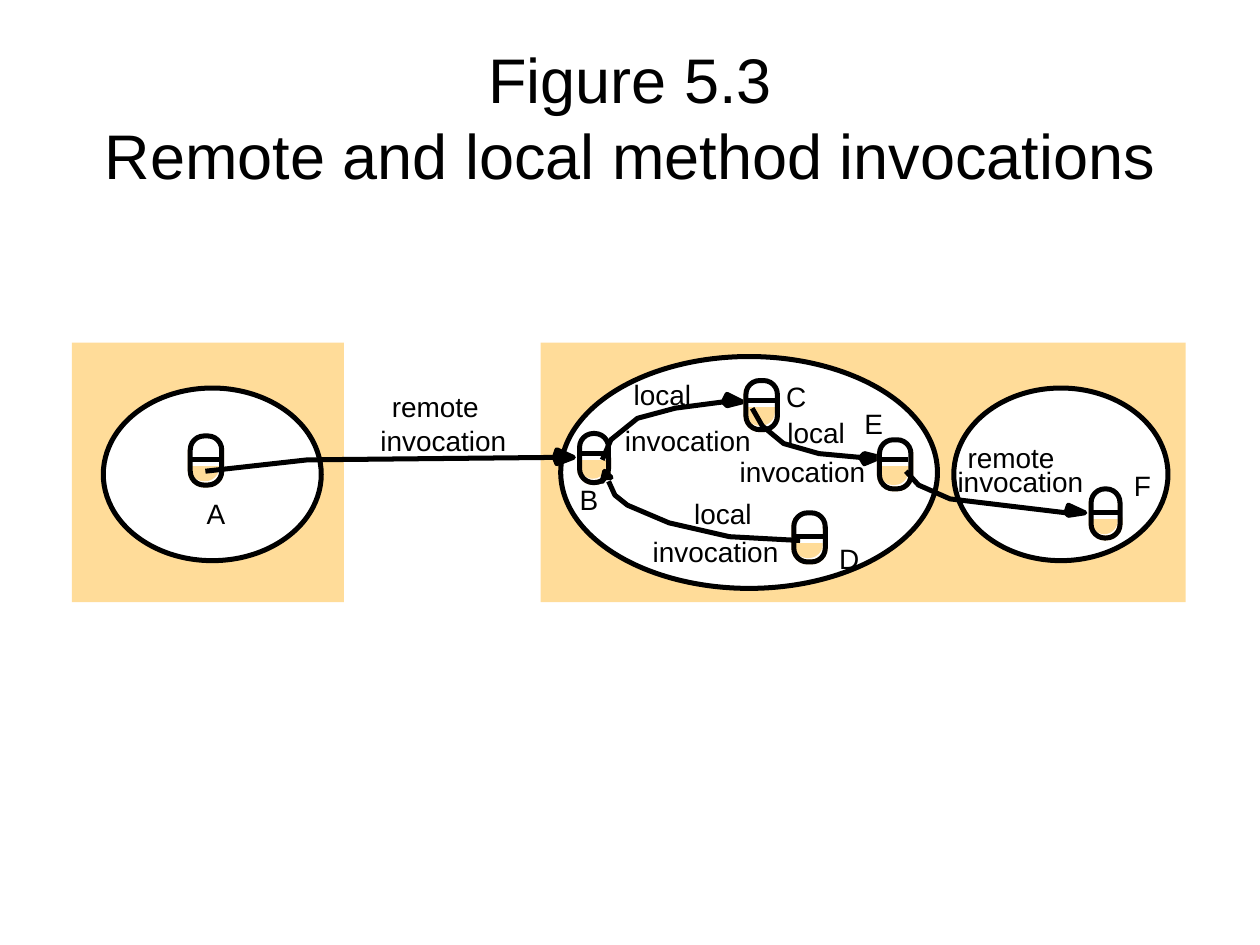
from dataclasses import dataclass

from lxml import etree
from pptx import Presentation
from pptx.dml.color import RGBColor
from pptx.enum.shapes import MSO_CONNECTOR, MSO_SHAPE
from pptx.enum.text import MSO_ANCHOR, MSO_AUTO_SIZE, PP_ALIGN
from pptx.oxml.ns import qn
from pptx.util import Inches, Pt

RECT = MSO_SHAPE.RECTANGLE
ROUND = MSO_SHAPE.ROUNDED_RECTANGLE
OVAL = MSO_SHAPE.OVAL
STRAIGHT = MSO_CONNECTOR.STRAIGHT
CENTER = PP_ALIGN.CENTER
MIDDLE = MSO_ANCHOR.MIDDLE
FIT = MSO_AUTO_SIZE.SHAPE_TO_FIT_TEXT


@dataclass
class Theme:
    font: str = "Arial"
    ink: RGBColor = RGBColor(0, 0, 0)
    paper: RGBColor = RGBColor(255, 255, 255)
    sand: RGBColor = RGBColor(0xFF, 0xDC, 0x99)
    title: int = 36
    gap: int = 44
    label: int = 16
    line: float = 2.86


class Figure:
    def __init__(self, slide, theme):
        self.slide, self.theme = slide, theme
        self.shapes = slide.shapes

    def paint(self, shape, fill, line):
        shape.shadow.inherit = False
        if fill is None:
            shape.fill.background()
        else:
            shape.fill.solid()
            shape.fill.fore_color.rgb = fill
        if line is None:
            shape.line.fill.background()
        else:
            shape.line.color.rgb = line
            shape.line.width = Pt(self.theme.line)

    def block(self, kind, box, fill=None, line=None):
        shape = self.shapes.add_shape(kind, *map(Inches, box))
        self.paint(shape, fill, line)
        return shape

    def pill(self, box, fill=None, line=None):
        """Draw an upright rounded box with a fixed corner radius."""
        shape = self.block(ROUND, box, fill, line)
        shape.adjustments[0] = min(0.5, 0.11 / box[2])

    def track(self, points, fill=None, close=False):
        """Draw an inked line through the points, or a closed outline."""
        spots = [(Inches(x), Inches(y)) for x, y in points]
        form = self.shapes.build_freeform(*spots[0])
        form.add_line_segments(spots[1:], close=close)
        self.paint(form.convert_to_shape(), fill, self.theme.ink)

    def arrow(self, points, head):
        self.track(head, self.theme.ink, close=True)
        self.track(points)

    def rule(self, left, right, y):
        line = self.shapes.add_connector(
            STRAIGHT, Inches(left), Inches(y), Inches(right), Inches(y))
        line.line.color.rgb = self.theme.ink
        line.line.width = Pt(self.theme.line)
        etree.SubElement(line._element.spPr, qn("a:effectLst"))

    def node(self, left, top, width, inset, half):
        """Draw an object: a sand pill whose upper part is white."""
        theme = self.theme
        inner = width - 0.02
        full = (left, top, width, 0.39)
        self.pill((left, top, inner, 0.36), fill=theme.sand)
        self.pill(full, line=theme.sand)
        x = left + inset
        self.block(RECT, (x, top, inner - inset, half), fill=theme.paper)
        self.block(RECT, (x, top, width - inset, half + 0.03), line=theme.paper)
        self.pill(full, line=theme.ink)
        self.rule(left, left + inner, top + half)

    def add_text(self, para, text, size):
        run = para.add_run()
        run.text = text
        run.font.name = self.theme.font
        run.font.size = Pt(size)
        run.font.color.rgb = self.theme.ink

    def label(self, text, left, top, width):
        box = self.shapes.add_textbox(*map(Inches, (left, top, width, 0.27)))
        frame = box.text_frame
        frame.margin_left = frame.margin_right = 0
        frame.margin_top = frame.margin_bottom = 0
        frame.word_wrap = False
        frame.auto_size = FIT
        self.add_text(frame.paragraphs[0], text, self.theme.label)

    def title(self, first, second):
        box = self.shapes.add_textbox(*map(Inches, (0.5, 0.3, 9, 1.25)))
        frame = box.text_frame
        frame.word_wrap = True
        frame.vertical_anchor = MIDDLE
        para = frame.paragraphs[0]
        para.alignment = CENTER
        self.add_text(para, first, self.theme.title)
        para.add_line_break()
        # The taller break opens up the space between the two lines.
        gap = etree.SubElement(para._p[-1], qn("a:rPr"))
        gap.set("sz", str(self.theme.gap * 100))
        self.add_text(para, second, self.theme.title)


HOSTS = [
    ((4.29, 2.72, 5.12, 2.06), [(4.45, 2.83, 2.99, 1.84), (7.57, 3.08, 1.7, 1.37)]),
    ((0.57, 2.72, 2.16, 2.06), [(0.82, 3.08, 1.73, 1.37)]),
]
# Text width, then the places where the word stands
WORDS = {
    "remote": (0.69, [(3.11, 3.09), (7.68, 3.5)]),
    "local": (0.46, [(5.03, 3), (6.25, 3.3), (5.51, 3.94)]),
    "invocation": (1, [(3.02, 3.36), (4.96, 3.36), (7.6, 3.69),
                       (5.87, 3.61), (5.18, 4.24)]),
    "A": (0.15, [(1.64, 3.94)]),
    "B": (0.15, [(4.6, 3.83)]),
    "C": (0.16, [(6.24, 3.01)]),
    "D": (0.16, [(6.66, 4.3)]),
    "E": (0.15, [(6.86, 3.23)]),
    "F": (0.14, [(9, 3.72)]),
}
# Left, top, width, inset and height of the white part
NODES = {
    "A": (1.51, 3.46, 0.25, 0, 0.19),
    "B": (4.6, 3.44, 0.23, 0, 0.16),
    "C": (5.92, 3.02, 0.25, 0.02, 0.16),
    "E": (6.98, 3.49, 0.25, 0, 0.16),
    "D": (6.3, 4.07, 0.25, 0.02, 0.19),
    "F": (8.66, 3.88, 0.23, 0, 0.19),
}
# The line from each caller, then the outline of its arrowhead
CALLS = {
    "A": ([(1.63, 3.74), (2.44, 3.65), (4.42, 3.63)],
          [(4.4, 3.63), (4.42, 3.57), (4.55, 3.63), (4.42, 3.68)]),
    "B": ([(4.78, 3.65), (4.85, 3.49), (5.06, 3.32), (5.36, 3.24), (5.74, 3.19)],
          [(5.74, 3.19), (5.77, 3.13), (5.89, 3.19), (5.77, 3.22)]),
    "C": ([(5.97, 3.24), (6.05, 3.38), (6.22, 3.52), (6.5, 3.6), (6.83, 3.63)],
          [(6.83, 3.63), (6.86, 3.6), (6.98, 3.63), (6.86, 3.68)]),
    "E": ([(7.19, 3.74), (7.29, 3.85), (7.54, 3.96), (8.46, 4.07)],
          [(8.46, 4.07), (8.48, 4.01), (8.61, 4.07), (8.48, 4.09)]),
    "D": ([(6.35, 4.29), (5.79, 4.26), (5.31, 4.15), (4.98, 4.01),
           (4.88, 3.93), (4.83, 3.82)],
          [(4.8, 3.79), (4.78, 3.82), (4.8, 3.74), (4.85, 3.79)]),
}


def main():
    deck = Presentation()
    deck.slide_width, deck.slide_height = Inches(10), Inches(7.5)
    theme = Theme()
    fig = Figure(deck.slides.add_slide(deck.slide_layouts[6]), theme)
    fig.title("Figure 5.3", "Remote and local method invocations")
    for host, ovals in HOSTS:
        fig.block(RECT, host, fill=theme.sand)
        for oval in ovals:
            fig.block(OVAL, oval, fill=theme.paper, line=theme.ink)
    for word, (width, spots) in WORDS.items():
        for left, top in spots:
            fig.label(word, left, top, width)
    for name, node in NODES.items():
        fig.node(*node)
        if name in CALLS:
            fig.arrow(*CALLS[name])
    deck.save("out.pptx")


if __name__ == "__main__":
    main()
